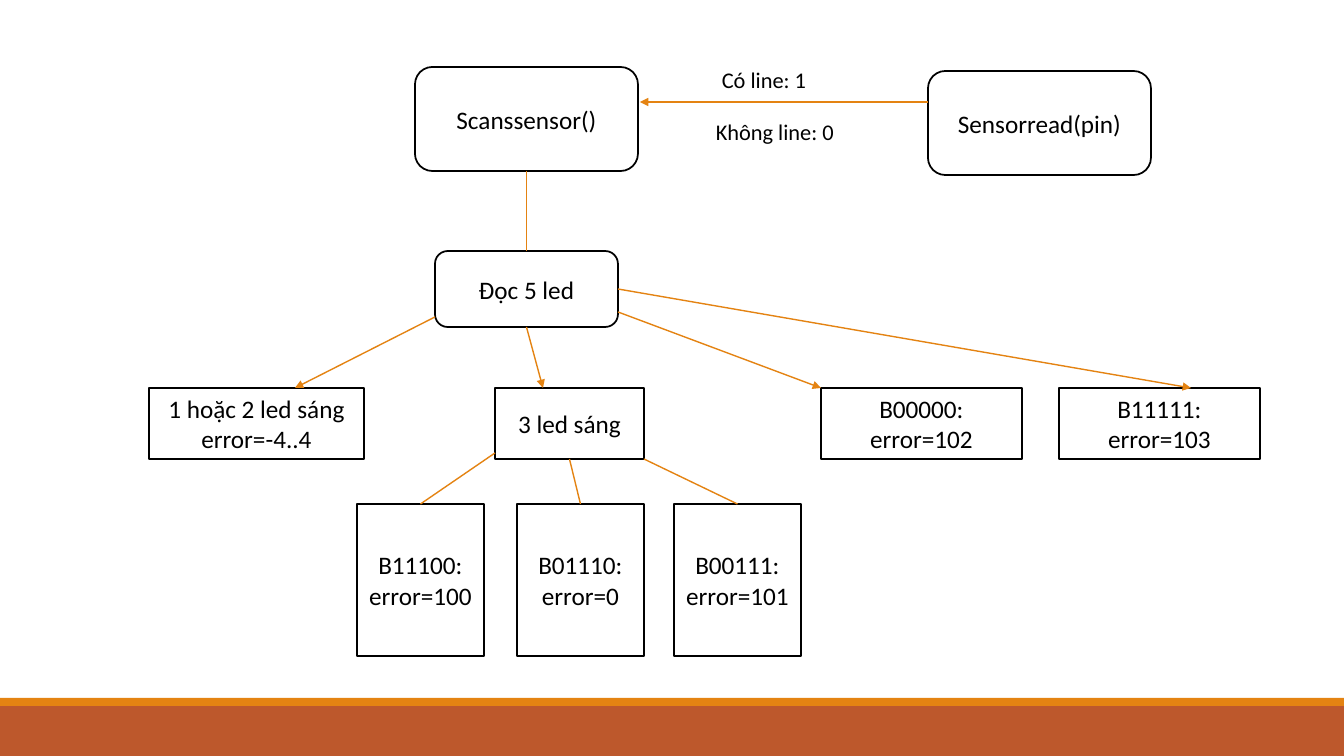
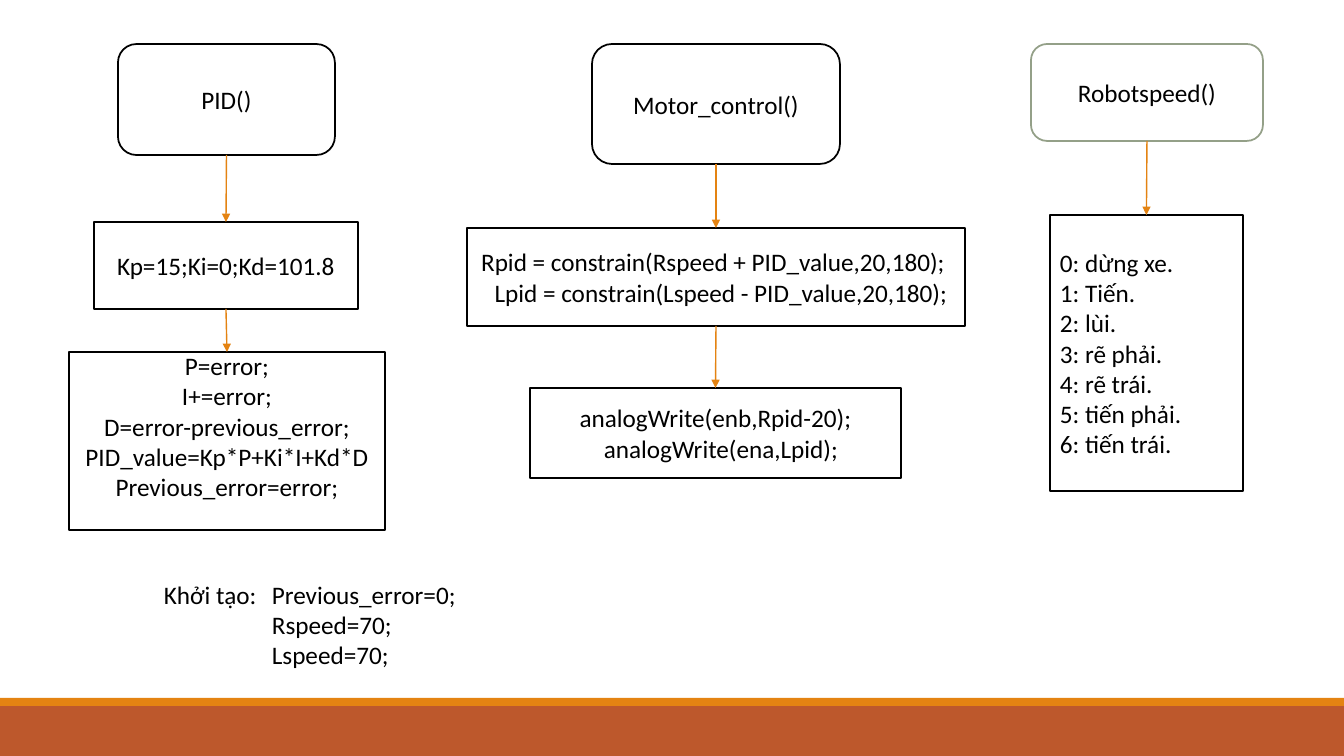
"""Builds two flowchart slides for a line-following robot program."""
from lxml import etree
from pptx import Presentation
from pptx.dml.color import RGBColor
from pptx.enum import shapes, text
from pptx.oxml import ns
from pptx.util import Emu, Pt

PX = 914400 / 100.8
W, H = 1344, 756
BLACK, WHITE, ORANGE, RUST, SAGE = "000000", "FFFFFF", "E48312", "BD582C", "94A088"
ROUND = shapes.MSO_SHAPE.ROUNDED_RECTANGLE
RECT = shapes.MSO_SHAPE.RECTANGLE
LEFT = text.PP_ALIGN.LEFT
TOP, RIGHT, BOTTOM = 0, 3, 2


def paint(fill, color):
    fill.solid()
    fill.fore_color.rgb = RGBColor.from_string(color)


def add_text(s, content, at, kind=RECT, size=18, line=BLACK,
             align=text.PP_ALIGN.CENTER, indent=0, right=10, bottom=5):
    at = [Emu(round(v * PX)) for v in at]
    if kind is None:
        sp = s.shapes.add_textbox(*at)
    else:
        sp = s.shapes.add_shape(kind, *at)
        sp.shadow.inherit = False
        paint(sp.fill, WHITE)
        paint(sp.line.fill, line)
        sp.line.width = Pt(1.25)
    tf = sp.text_frame
    tf.word_wrap = True
    tf.margin_right, tf.margin_bottom = Emu(round(right * PX)), Emu(round(bottom * PX))
    if kind is not None:
        tf.vertical_anchor = text.MSO_ANCHOR.MIDDLE
    for i, row in enumerate(content.split("\n")):
        p = tf.paragraphs[0] if i == 0 else tf.add_paragraph()
        p.alignment = align
        pPr = p._p.get_or_add_pPr()
        if i and indent:
            pPr.set("marL", str(round(indent * PX)))
        if "\t" in row:
            tabs = etree.SubElement(pPr, ns.qn("a:tabLst"))
            etree.SubElement(tabs, ns.qn("a:tab"), pos=str(round(indent * PX)), algn="l")
        r = p.add_run()
        r.text = row
        r.font.name, r.font.size = "Calibri", Pt(size)
        paint(r.font.fill, BLACK)
    return sp


ROW_Y, ROW_H = 388, 71
LEAF_Y, LEAF_W, LEAF_H = 504, 127, 152
HEAD_Y = 44

sensor_boxes = {
    "read": ("Sensorread(pin)", (928, 71, 223, 104), dict(kind=ROUND)),
    "scan": ("Scanssensor()", (415, 67, 223, 104), dict(kind=ROUND)),
    "line": ("Có line: 1", (712, 61, 145, 37), dict(kind=None, size=16, align=LEFT)),
    "no line": ("Không line: 0", (706, 113, 157, 37), dict(kind=None, size=16, align=LEFT)),
    "leds": ("Đọc 5 led", (435, 251, 183, 76), dict(kind=ROUND)),
    "one or two": ("1 hoặc 2 led sáng\nerror=-4..4", (149, ROW_Y, 215, ROW_H), {}),
    "three": ("3 led sáng", (495, ROW_Y, 149, ROW_H), {}),
    "none": ("B00000:\nerror=102", (821, ROW_Y, 201, ROW_H), {}),
    "all": ("B11111:\nerror=103", (1059, ROW_Y, 201, ROW_H), {}),
    "left": ("B11100:\nerror=100", (357, LEAF_Y, LEAF_W, LEAF_H), {}),
    "middle": ("B01110:\nerror=0", (517, LEAF_Y, LEAF_W, LEAF_H), {}),
    "right": ("B00111:\nerror=101", (674, LEAF_Y, LEAF_W, LEAF_H), {}),
}
sensor_links = [
    ((928, 102), (640, 102), True),
    (("scan", BOTTOM), ("leds", TOP), False),
    ((435, 317), (295, ROW_Y), True),
    (("leds", BOTTOM), (543, ROW_Y), True),
    (("leds", RIGHT), (1191, ROW_Y), True),
    ((618, 312), (821, ROW_Y), True),
    ((495, 453), ("left", TOP), False),
    (("three", BOTTOM), ("middle", TOP), False),
    ((644, 459), ("right", TOP), False),
]

control_boxes = {
    "pid": ("PID()", (118, HEAD_Y, 217, 111), dict(kind=ROUND)),
    "gains": ("Kp=15;Ki=0;Kd=101.8", (94, 222, 264, 87), {}),
    "terms": ("P=error;\nI+=error;\nD=error-previous_error;\n"
              "PID_value=Kp*P+Ki*I+Kd*D\nPrevious_error=error;",
              (69, 352, 316, 178), dict(bottom=35)),
    "start": ("Khởi tạo:\tPrevious_error=0;\nRspeed=70;\nLspeed=70;",
              (154, 574, 753, 102), dict(kind=None, align=LEFT, indent=108)),
    "motor": ("Motor_control()", (592, HEAD_Y, 248, 120), dict(kind=ROUND)),
    "limits": ("Rpid = constrain(Rspeed + PID_value,20,180);\n"
               "Lpid = constrain(Lspeed - PID_value,20,180);",
               (467, 228, 498, 98), dict(indent=16, right=16)),
    "output": ("analogWrite(enb,Rpid-20);\nanalogWrite(ena,Lpid);",
               (530, 388, 371, 90), dict(indent=11)),
    "speed": ("Robotspeed()", (1031, HEAD_Y, 232, 97), dict(kind=ROUND, line=SAGE)),
    "moves": ("0: dừng xe.\n1: Tiến.\n2: lùi.\n3: rẽ phải.\n4: rẽ trái.\n"
              "5: tiến phải.\n6: tiến trái.", (1050, 215, 193, 276), dict(align=LEFT)),
}
control_steps = [("pid", "gains"), ("gains", "terms"), ("motor", "limits"),
                 ("limits", "output"), ("speed", "moves")]
control_links = [((a, BOTTOM), (b, TOP), True) for a, b in control_steps]

prs = Presentation()
prs.slide_width, prs.slide_height = Emu(round(W * PX)), Emu(round(H * PX))
layout = prs.slide_layouts[6]

for boxes, links in [(sensor_boxes, sensor_links), (control_boxes, control_links)]:
    s = prs.slides.add_slide(layout)
    placed = {name: add_text(s, content, at, **style)
              for name, (content, at, style) in boxes.items()}
    for start, end, arrow in links:
        points = [(0, 0) if isinstance(e[0], str) else e for e in (start, end)]
        ln = s.shapes.add_connector(shapes.MSO_CONNECTOR.STRAIGHT,
                                    *[Emu(round(v * PX)) for pt in points for v in pt])
        if isinstance(start[0], str):
            ln.begin_connect(placed[start[0]], start[1])
        if isinstance(end[0], str):
            ln.end_connect(placed[end[0]], end[1])
        paint(ln.line.fill, ORANGE)
        ln.line.width = Pt(1)
        if arrow:
            etree.SubElement(ln.line._get_or_add_ln(), ns.qn("a:tailEnd"), type="triangle")
        etree.SubElement(ln._element.spPr, ns.qn("a:effectLst"))

for top, height, color in [(706, 50, RUST), (698, 8, ORANGE)]:
    band = s.shapes.add_shape(RECT, 0, Emu(round(top * PX)),
                              prs.slide_width, Emu(round(height * PX)))
    band.shadow.inherit = False
    paint(band.fill, color)
    band.line.fill.background()
    layout.shapes._spTree.append(band._element)

prs.save("out.pptx")
